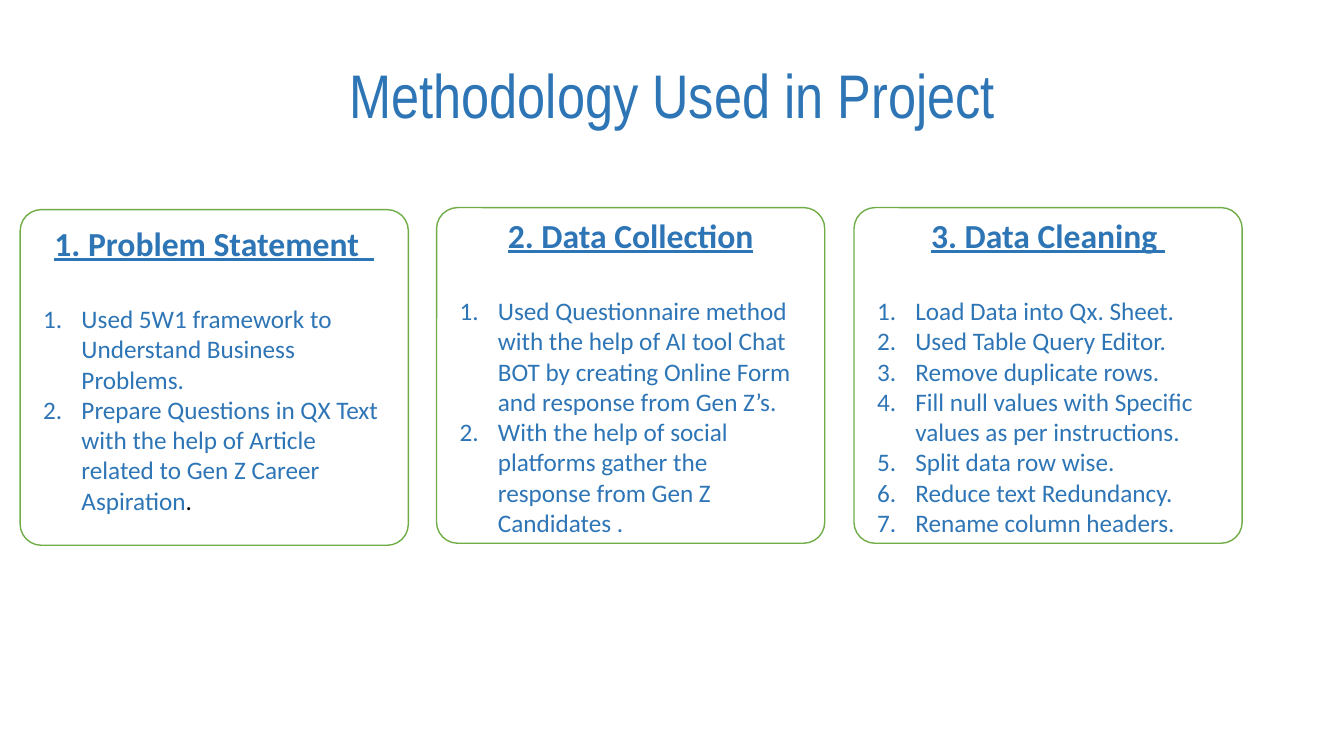
from dataclasses import dataclass

from lxml.etree import SubElement
from pptx import Presentation
from pptx.dml.color import RGBColor
from pptx.enum.shapes import MSO_SHAPE as Preset
from pptx.enum.text import MSO_ANCHOR as Anchor, MSO_AUTO_SIZE as AutoSize, PP_ALIGN as Align
from pptx.oxml.ns import qn
from pptx.util import Inches, Pt

COLORS = {"blue": "2E75B6", "green": "70AD47", "white": "FFFFFF", "black": "000000"}
CARD_WIDTH, CARD_HEIGHT = 3.85, 3.33
TEXT_INSET, TEXT_WIDTH = 0.13, 3.59
HANGING = 0.38


@dataclass(frozen=True)
class Stage:
    left: float
    top: float
    text_top: float
    text_height: float
    heading: str
    steps: tuple[str, ...]
    closing: str = ""


STAGES = (
    Stage(0.2, 2.08, 2.16, 3.03, "1. Problem Statement  ", (
        "Used 5W1 framework to Understand Business Problems.",
        "Prepare Questions in QX Text with the help of Article related to Gen Z Career Aspiration",
    ), "."),
    Stage(4.33, 2.06, 2.08, 3.33, "2. Data Collection", (
        "Used Questionnaire method with the help of AI tool Chat BOT by creating Online Form "
        "and response from Gen Z’s.",
        "With the help of social platforms gather the response from Gen Z Candidates .",
    )),
    Stage(8.47, 2.06, 2.08, 3.33, "3. Data Cleaning ", (
        "Load Data into Qx. Sheet.",
        "Used Table Query Editor.",
        "Remove duplicate rows.",
        "Fill null values with Specific values as per instructions.",
        "Split data row wise.",
        "Reduce text Redundancy.",
        "Rename column headers.",
    )),
)


def color(name: str) -> RGBColor:
    return RGBColor.from_string(COLORS[name])


def write(paragraph, text: str, *, size: float = 18, font: str = "Calibri",
          tint: str = "blue", bold: bool = False, underline: bool = False) -> None:
    run = paragraph.add_run()
    run.text = text
    run.font.size = Pt(size)
    run.font.name = font
    run.font.bold = bold
    run.font.underline = underline
    run.font.color.rgb = color(tint)


def number(paragraph) -> None:
    properties = paragraph._p.get_or_add_pPr()
    properties.set("marL", str(Inches(HANGING)))
    properties.set("indent", str(-Inches(HANGING)))
    SubElement(properties, qn("a:buFont"), typeface="+mj-lt")
    SubElement(properties, qn("a:buAutoNum"), type="arabicPeriod")


def add_title(slide, text: str) -> None:
    title = slide.shapes.title
    title.left, title.top = Inches(0.92), Inches(0.5)
    title.width, title.height = Inches(11.5), Inches(0.96)
    title.text_frame.vertical_anchor = Anchor.MIDDLE
    heading = title.text_frame.paragraphs[0]
    heading.alignment = Align.CENTER
    heading.line_spacing = 0.9
    write(heading, text, size=44, font="Arial Narrow")


def add_stage(slide, stage: Stage) -> None:
    group = slide.shapes.add_group_shape()
    card = group.shapes.add_shape(
        Preset.ROUNDED_RECTANGLE, Inches(stage.left), Inches(stage.top),
        Inches(CARD_WIDTH), Inches(CARD_HEIGHT))
    card.adjustments[0] = 0.063
    card.shadow.inherit = False
    card.fill.solid()
    card.fill.fore_color.rgb = color("white")
    card.line.color.rgb = color("green")
    card.line.width = Pt(1)

    content = group.shapes.add_textbox(
        Inches(stage.left + TEXT_INSET), Inches(stage.text_top),
        Inches(TEXT_WIDTH), Inches(stage.text_height)).text_frame
    content.word_wrap = True
    content.auto_size = AutoSize.SHAPE_TO_FIT_TEXT
    heading = content.paragraphs[0]
    heading.alignment = Align.CENTER
    heading.space_after = Pt(29)
    write(heading, stage.heading, size=24, bold=True, underline=True)
    for step in stage.steps:
        item = content.add_paragraph()
        number(item)
        write(item, step)
    if stage.closing:
        write(item, stage.closing, tint="black")


def main() -> None:
    deck = Presentation()
    deck.slide_width, deck.slide_height = Inches(13.33), Inches(7.5)
    slide = deck.slides.add_slide(deck.slide_layouts.get_by_name("Title Only"))
    add_title(slide, "Methodology Used in Project")
    for stage in STAGES:
        add_stage(slide, stage)
    deck.save("out.pptx")


if __name__ == "__main__":
    main()
